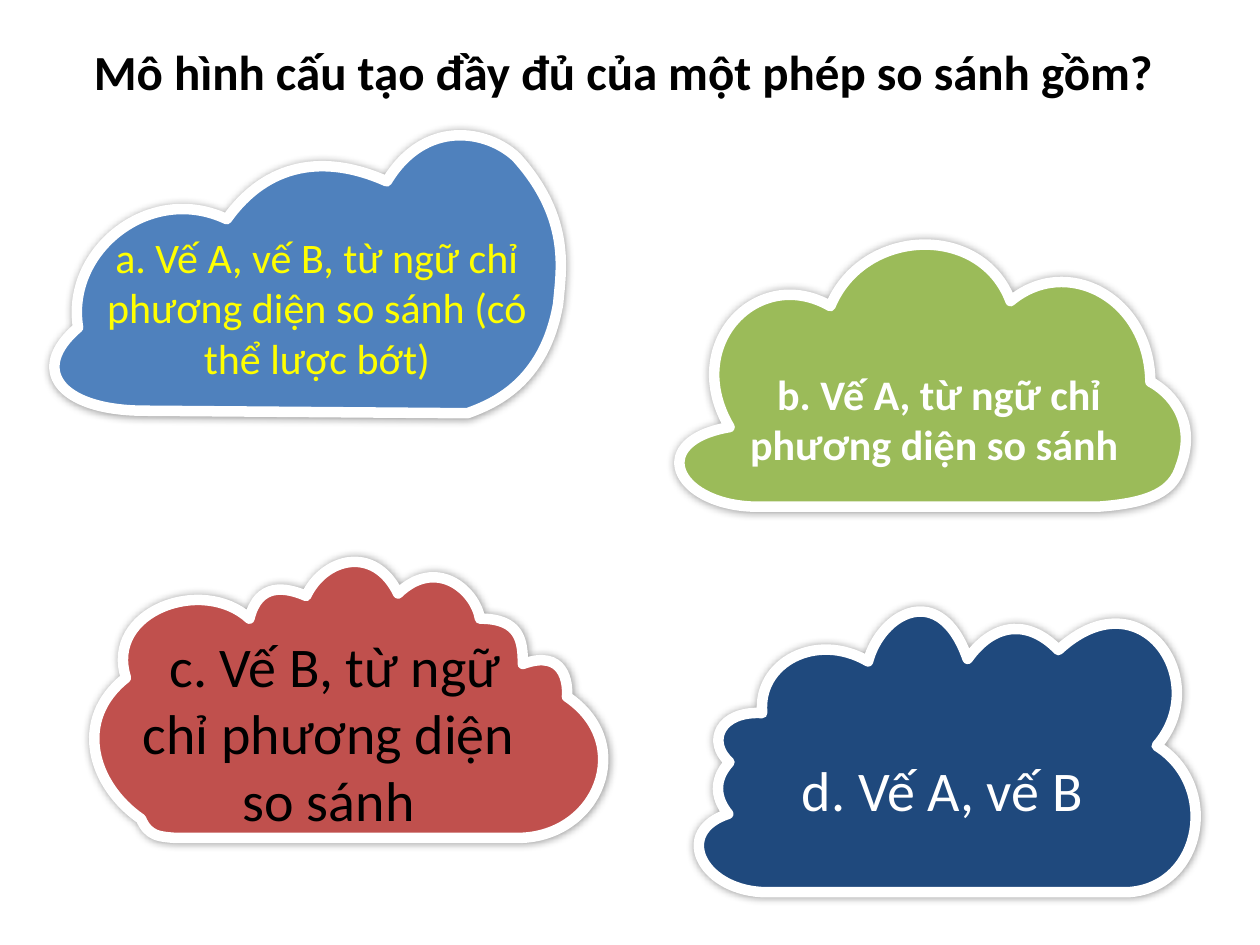
from dataclasses import dataclass

from lxml.etree import SubElement
from pptx import Presentation
from pptx.dml.color import RGBColor as Rgb
from pptx.enum.text import MSO_ANCHOR as Anchor, MSO_AUTO_SIZE as AutoSize, PP_ALIGN as Align
from pptx.oxml.ns import qn
from pptx.util import Inches, Pt

COLUMNS, ROWS = 1000, 750
UNIT = Inches(10) // COLUMNS


@dataclass(frozen=True)
class Theme:
    """Colours and type sizes of the quiz slide."""
    font: str = "Calibri"
    black: str = "000000"
    white: str = "FFFFFF"
    yellow: str = "FFFF00"
    blue: str = "4F81BD"
    green: str = "9BBB59"
    red: str = "C0504D"
    navy: str = "1F497D"
    question: int = 28
    answer: int = 24
    large_answer: int = 32
    outline: int = 6
    shadow_blur: int = 5
    shadow_alpha: int = 40


THEME = Theme()

CLOUDS = [
    (THEME.blue, (43, 107, 402, 220), [
        (112, 326), (371, 328),
        (390, 321), (432, 305), (443, 241),
        (445, 216), (454, 174), (410, 125),
        (387, 103), (337, 94), (307, 144),
        (258, 122), (212, 129), (180, 174),
        (119, 145), (52, 199), (62, 260),
        (23, 293), (47, 325), (112, 326)]),
    (THEME.green, (539, 194, 402, 208), [
        (596, 402), (873, 402),
        (913, 399), (931, 390), (937, 370),
        (950, 335), (930, 312), (913, 303),
        (912, 236), (846, 202), (802, 239),
        (779, 177), (685, 180), (659, 243),
        (602, 210), (540, 273), (579, 339),
        (514, 350), (535, 399), (596, 402)]),
    (THEME.red, (75, 446, 404, 219), [
        (139, 665), (412, 665),
        (475, 664), (505, 590), (450, 553),
        (451, 542), (448, 515), (415, 527),
        (415, 509), (413, 491), (381, 491),
        (377, 468), (346, 442), (316, 471),
        (297, 432), (257, 443), (243, 473),
        (227, 466), (205, 462), (198, 491),
        (161, 457), (83, 485), (100, 538),
        (58, 571), (73, 623), (112, 650),
        (118, 664), (127, 664), (139, 665)]),
    (THEME.navy, (555, 485, 394, 223), [
        (604, 708), (897, 708),
        (955, 703), (968, 623), (918, 592),
        (963, 541), (906, 455), (840, 516),
        (819, 494), (791, 491), (768, 523),
        (746, 460), (699, 487), (689, 525),
        (648, 501), (601, 526), (605, 566),
        (571, 564), (561, 589), (579, 605),
        (566, 619), (568, 634), (578, 646),
        (535, 660), (556, 705), (604, 708)]),
]

ANSWERS = [
    ("a. Vế A, vế B, từ ngữ chỉ phương diện so sánh (có thể lược bớt)",
     (75, 178, 353, 131), THEME.answer, THEME.yellow, False),
    (" b. Vế A, từ ngữ chỉ phương diện so sánh",
     (571, 267, 341, 131), THEME.answer, THEME.white, True),
    ("d. Vế A, vế B",
     (567, 594, 362, 64), THEME.large_answer, THEME.white, False),
    (" c. Vế B, từ ngữ chỉ phương diện so sánh",
     (85, 495, 352, 172), THEME.large_answer, THEME.black, False),
]


def place(element, box):
    """Set an element's position and size in grid units."""
    element.left, element.top, element.width, element.height = (n * UNIT for n in box)


def write(holder, wording, size, color, bold, wrap=True):
    """Put one centred paragraph into a text holder."""
    frame = holder.text_frame
    frame.text = wording
    frame.word_wrap = wrap
    frame.auto_size = AutoSize.SHAPE_TO_FIT_TEXT
    frame.vertical_anchor = Anchor.MIDDLE
    paragraph = frame.paragraphs[0]
    paragraph.alignment = Align.CENTER
    font = paragraph.font
    font.name, font.size, font.bold = THEME.font, Pt(size), bold
    font.color.rgb = Rgb.from_string(color)


def add_question(slide):
    """Fill the title with the question."""
    place(slide.shapes.title, (-6, 28, 1001, 57))
    write(slide.shapes.title, "Mô hình cấu tạo đầy đủ của một phép so sánh gồm?",
          THEME.question, THEME.black, True, wrap=False)


def add_answer(slide, wording, box, size, color, bold):
    """Add the text of one answer."""
    answer = slide.shapes.add_textbox(*(n * UNIT for n in box))
    write(answer, wording, size, color, bold)


def curve_outline(cloud, box, points):
    """Turn the straight edges after the base into Bézier curves within the box."""
    outline = cloud._element.spPr.find(".//" + qn("a:path"))
    outline.set("w", str(box[2]))
    outline.set("h", str(box[3]))
    for vertex, (x, y) in zip(outline.iter(qn("a:pt")), points):
        vertex.set("x", str(x - box[0]))
        vertex.set("y", str(y - box[1]))
    edges = outline.findall(qn("a:lnTo"))[1:]
    for start in range(0, len(edges), 3):
        curve = SubElement(outline, qn("a:cubicBezTo"))
        edges[start].addprevious(curve)
        for edge in edges[start:start + 3]:
            curve.append(edge[0])
            outline.remove(edge)
    place(cloud, box)


def add_glow_shadow(cloud):
    """Give a cloud a soft shadow on all sides."""
    cloud.shadow.inherit = False
    effects = cloud._element.spPr.find(qn("a:effectLst"))
    shadow = SubElement(effects, qn("a:outerShdw"), blurRad=str(Pt(THEME.shadow_blur)),
                        dist="0", dir="0", algn="ctr", rotWithShape="0")
    tint = SubElement(shadow, qn("a:srgbClr"), val=THEME.black)
    SubElement(tint, qn("a:alpha"), val=str(THEME.shadow_alpha * 1000))


def add_cloud(slide, color, box, points):
    """Add a filled cloud with a thick rounded outline."""
    builder = slide.shapes.build_freeform(*points[0], scale=UNIT)
    builder.add_line_segments(points[1:], close=True)
    cloud = builder.convert_to_shape()
    curve_outline(cloud, box, points)
    cloud.fill.solid()
    cloud.fill.fore_color.rgb = Rgb.from_string(color)
    cloud.line.color.rgb = Rgb.from_string(THEME.white)
    cloud.line.width = Pt(THEME.outline)
    SubElement(cloud._element.spPr.find(qn("a:ln")), qn("a:round"))
    add_glow_shadow(cloud)


def main():
    """Build the quiz slide."""
    deck = Presentation()
    deck.slide_width, deck.slide_height = COLUMNS * UNIT, ROWS * UNIT
    slide = deck.slides.add_slide(deck.slide_layouts[5])
    add_question(slide)
    for cloud in CLOUDS:
        add_cloud(slide, *cloud)
    for answer in ANSWERS:
        add_answer(slide, *answer)
    deck.save("out.pptx")


if __name__ == "__main__":
    main()
